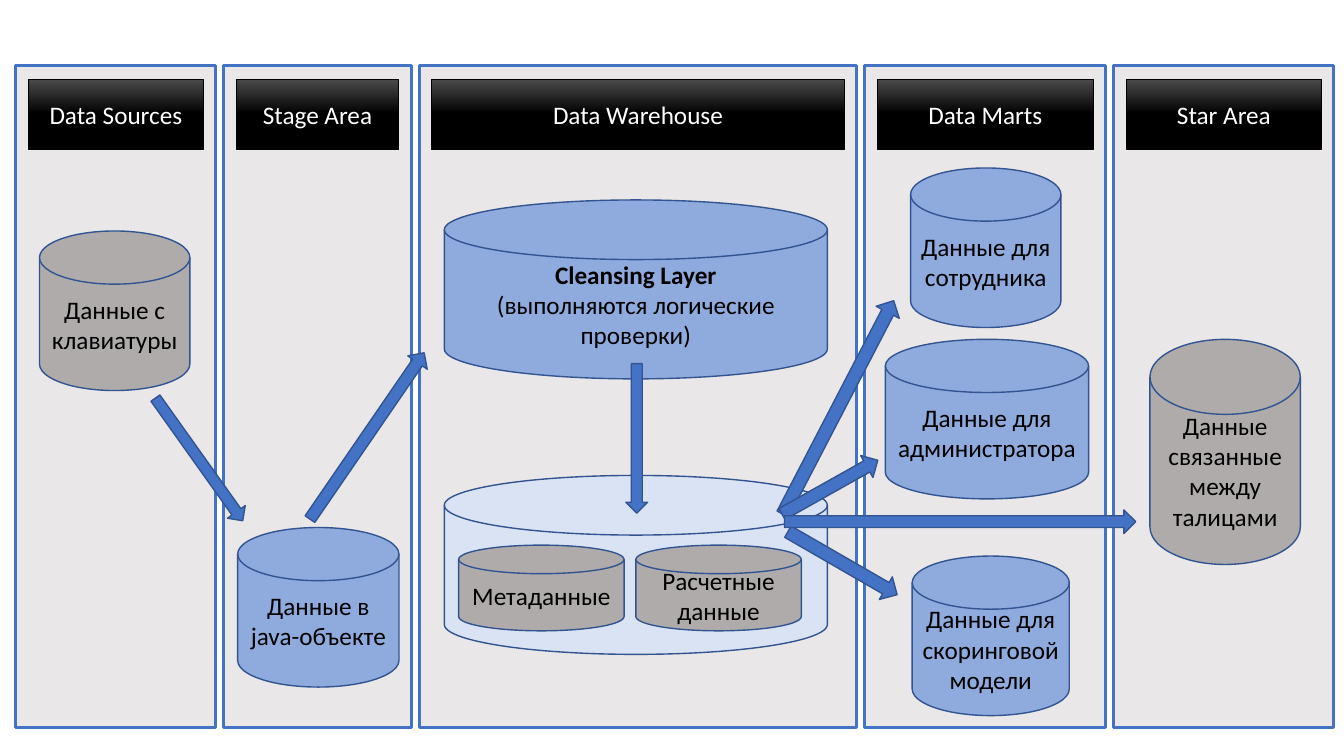
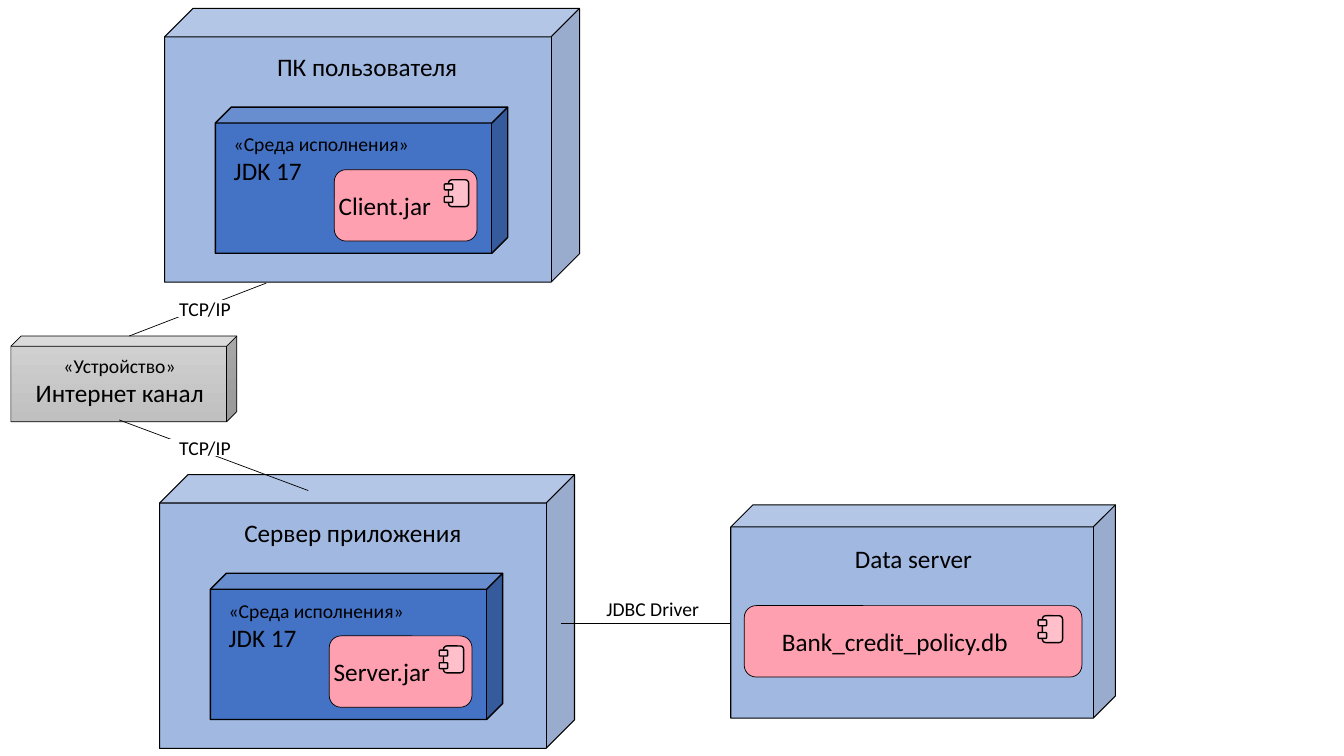
from dataclasses import dataclass
from math import atan2, degrees, hypot
from typing import NamedTuple, Optional

from lxml import etree
from pptx import Presentation
from pptx.dml.color import RGBColor
from pptx.enum.shapes import MSO_CONNECTOR, MSO_SHAPE as Shape
from pptx.enum.text import MSO_ANCHOR as Anchor, PP_ALIGN as Align
from pptx.oxml.ns import qn
from pptx.util import Emu, Pt

# The slide is a grid of 160 columns by 90 rows of square cells.
COLUMNS, ROWS = 160, 90
CELL = 76200
FONT, BODY, SMALL = "Calibri", 18, 14
BLACK, WHITE = "000000", "FFFFFF"
BLUE, BLUE_EDGE = "4472C4", "325491"
DISK_BLUE, DISK_PALE, DISK_GREY = "8FAADC", "DAE3F3", "AFABAB"
PANEL = "E9E7E7"
PINK, PINK_LIGHT = "FEA0B0", "FFC0CB"


class Box(NamedTuple):
    """Left, top, width and height in grid cells."""
    left: float
    top: float
    width: float
    height: float


class Point(NamedTuple):
    """A position in grid cells."""
    x: float
    y: float


@dataclass
class Stage:
    """A column of the data flow."""
    title: str
    width: float


@dataclass
class Store:
    """A cylinder of data."""
    box: Box
    color: str
    text: str = ""
    bold_first: bool = False


@dataclass
class Flow:
    """A block arrow between two points."""
    start: Point
    end: Point
    thickness: float


@dataclass
class Artifact:
    """A deployed file with its component icon."""
    name: str
    box: Box
    label_shift: float
    icon_from_right: float


@dataclass
class Node:
    """A deployment node with its title and artifact."""
    title: str
    box: Box
    title_at: Point
    artifact: Artifact
    environment: Optional[Box] = None


@dataclass
class Link:
    """A line between nodes with the protocol over it."""
    start: Point
    end: Point
    protocol: str
    label: Box


def color(value: str) -> RGBColor:
    """Turn a hex string into a colour."""
    return RGBColor.from_string(value)


def cells(*values: float) -> list[Emu]:
    """Convert grid cells to lengths."""
    return [Emu(round(value * CELL)) for value in values]


def write(shape, text: str, ink: str = BLACK, sizes: tuple = (BODY,),
          align=Align.CENTER, bold_first: bool = False) -> None:
    """Set the text; the last size holds for all further runs."""
    frame = shape.text_frame
    frame.word_wrap = True
    frame.text = text
    runs = []
    for paragraph in frame.paragraphs:
        paragraph.alignment = align
        runs.extend(paragraph.runs)
    for index, run in enumerate(runs):
        run.font.name = FONT
        run.font.size = Pt(sizes[min(index, len(sizes) - 1)])
        run.font.bold = bold_first and index == 0
        run.font.color.rgb = color(ink)


def draw(slide, kind, box: Box, fill: str, edge: str, weight: float):
    """Add a filled, outlined shape without a shadow."""
    shape = slide.shapes.add_shape(kind, *cells(*box))
    shape.shadow.inherit = False
    shape.fill.solid()
    shape.fill.fore_color.rgb = color(fill)
    shape.line.color.rgb = color(edge)
    shape.line.width = Pt(weight)
    shape.text_frame.vertical_anchor = Anchor.MIDDLE
    return shape


def shade(shape, top: str, bottom: str, reach: float) -> None:
    """Fill from top to bottom, ending at a share of the height."""
    shape.fill.gradient()
    shape.fill.gradient_angle = 270
    for stop, tone, position in zip(shape.fill.gradient_stops, (top, bottom), (0, reach)):
        stop.color.rgb = color(tone)
        stop.position = position


def add_label(slide, box: Box, text: str, sizes: tuple = (BODY,), align=Align.LEFT) -> None:
    """Add free text."""
    write(slide.shapes.add_textbox(*cells(*box)), text, sizes=sizes, align=align)


def add_stages(slide, stages: list[Stage]) -> None:
    """Lay the stages side by side with equal gaps."""
    left, gap, inset = 1.9, 0.95, 1.5
    for stage in stages:
        draw(slide, Shape.RECTANGLE, Box(left, 7.8, stage.width, 78.8), PANEL, BLUE, 2.25)
        header = draw(slide, Shape.RECTANGLE,
                      Box(left + inset, 9.4, stage.width - 2 * inset, 8.4), BLACK, BLACK, 0.5)
        shade(header, "4B4B4B", BLACK, 0.5)
        write(header, stage.title, WHITE)
        left += stage.width + gap


def add_store(slide, store: Store) -> None:
    """Draw a cylinder with its text."""
    disk = draw(slide, Shape.FLOWCHART_MAGNETIC_DISK, store.box, store.color, BLUE_EDGE, 1)
    if store.text:
        write(disk, store.text, bold_first=store.bold_first)


def add_flow(slide, flow: Flow) -> None:
    """Draw a block arrow turned from its start to its end."""
    dx, dy = flow.end.x - flow.start.x, flow.end.y - flow.start.y
    length = hypot(dx, dy)
    box = Box((flow.start.x + flow.end.x - length) / 2,
              (flow.start.y + flow.end.y - flow.thickness) / 2, length, flow.thickness)
    arrow = draw(slide, Shape.RIGHT_ARROW, box, BLUE, BLUE_EDGE, 1)
    arrow.rotation = degrees(atan2(dy, dx))


def add_cube(slide, box: Box, fill: str, weight: float, depth: float):
    """Draw a cube of the given relative depth."""
    cube = draw(slide, Shape.CUBE, box, fill, BLACK, weight)
    cube.adjustments[0] = depth
    return cube


def add_artifact(slide, artifact: Artifact) -> None:
    """Draw an artifact, its name and the component icon."""
    box = artifact.box
    draw(slide, Shape.ROUNDED_RECTANGLE, box, PINK, BLACK, 0.5)
    add_label(slide, Box(box.left + artifact.label_shift, box.top + 1.85,
                         box.width - artifact.label_shift, 4.8), artifact.name)
    x, y = box.left + box.width - artifact.icon_from_right, box.top + 1.2
    icon = [Box(x, y, 2.4, 3.2), Box(x - 0.5, y + 0.5, 1, 0.7), Box(x - 0.5, y + 2, 1, 0.7)]
    for part in icon:
        draw(slide, Shape.ROUNDED_RECTANGLE, part, PINK_LIGHT, BLACK, 1)


def add_node(slide, node: Node) -> None:
    """Draw a half-transparent node and what it holds."""
    cube = add_cube(slide, node.box, BLUE, 0.75, 0.104)
    tone = cube.fill._xPr.find(qn("a:solidFill"))[0]
    etree.SubElement(tone, qn("a:alpha")).set("val", "50000")
    add_label(slide, Box(*node.title_at, 32, 4.8), node.title)
    inner = node.environment
    if inner:
        add_cube(slide, inner, BLUE, 1, 0.109)
        add_label(slide, Box(inner.left + 1, inner.top + 2.4, 31.2, 8.5),
                  "«Среда исполнения»\vJDK 17", (SMALL, BODY))
    add_artifact(slide, node.artifact)


def jdk_node(title: str, left: float, top: float, title_shift: float, jar: str) -> Node:
    """Describe a node that runs a jar on the JDK."""
    return Node(title, Box(left, top, 49.4, 32.6), Point(left + title_shift, top + 4.5),
                Artifact(jar, Box(left + 20.2, top + 19.2, 17, 8.5), -0.65, 3.4),
                Box(left + 6.05, top + 11.75, 34.8, 17.4))


def add_link(slide, link: Link) -> None:
    """Draw a line with its protocol on a white plate."""
    line = slide.shapes.add_connector(MSO_CONNECTOR.STRAIGHT, *cells(*link.start, *link.end))
    line.line.color.rgb = color(BLACK)
    line.line.width = Pt(0.5)
    etree.SubElement(line._element.spPr, qn("a:effectLst"))
    plate = draw(slide, Shape.RECTANGLE, link.label, WHITE, WHITE, 1)
    write(plate, link.protocol, sizes=(SMALL,))


def build_data_flow(slide) -> None:
    """Draw the stages from data sources to the star area."""
    add_stages(slide, [Stage("Data Sources", 23.8), Stage("Stage Area", 22.3),
                       Stage("Data Warehouse", 52.1), Stage("Data Marts", 28.7),
                       Stage("Star Area", 26.2)])
    stores = [
        Store(Box(4.7, 27.5, 17.9, 19), DISK_GREY, "Данные с клавиатуры"),
        Store(Box(28.3, 62.8, 19.2, 19), DISK_BLUE, "Данные в java-объекте"),
        Store(Box(52.9, 23.8, 45.6, 21.3), DISK_BLUE,
              "Cleansing Layer\n(выполняются логические проверки)", True),
        Store(Box(52.9, 56.6, 45.6, 21.3), DISK_PALE),
        Store(Box(54.6, 64.9, 19.7, 10.2), DISK_GREY, "Метаданные"),
        Store(Box(75.7, 64.9, 19.7, 10.2), DISK_GREY, "Расчетные данные"),
        Store(Box(108.4, 20, 17.9, 19), DISK_BLUE, "Данные для сотрудника"),
        Store(Box(105.4, 40.4, 24.2, 19), DISK_BLUE, "Данные для администратора"),
        Store(Box(108.6, 66.2, 18.7, 19), DISK_BLUE, "Данные для скоринговой модели"),
        Store(Box(136.9, 40.4, 17.9, 26.8), DISK_GREY, "Данные связанные между талицами"),
    ]
    for store in stores:
        add_store(slide, store)
    flows = [
        Flow(Point(18.5, 47.4), Point(28.9, 62), 2.6),
        Flow(Point(36.9, 61.8), Point(50.5, 42), 2.8),
        Flow(Point(75.8, 43.3), Point(75.8, 61.1), 2.6),
        Flow(Point(93.2, 61.2), Point(106.4, 35.8), 3.1),
        Flow(Point(93.1, 61.2), Point(104.5, 54.8), 3),
        Flow(Point(93.8, 63.3), Point(106.8, 70.8), 3.1),
        Flow(Point(93.4, 62.1), Point(135.2, 62.1), 2.8),
    ]
    for flow in flows:
        add_flow(slide, flow)


def build_deployment(slide) -> None:
    """Draw the client, the application server and the database."""
    nodes = [
        jdk_node("ПК пользователя", 19.6, 1, 12.2, "Client.jar"),
        jdk_node("Сервер приложения", 19, 56.5, 8.9, "Server.jar"),
        Node("Data server", Box(87, 60.1, 45.8, 25.4), Point(100.6, 64.1),
             Artifact("Bank_credit_policy.db", Box(88.6, 72.1, 40.2, 8.5), 3.3, 4.7)),
    ]
    for node in nodes:
        add_node(slide, node)
    channel = add_cube(slide, Box(1.3, 40, 26.9, 10.2), "C8C8C8", 0.5, 0.119)
    shade(channel, "D2D2D2", "C0C0C0", 1)
    add_label(slide, Box(2.5, 41.5, 23.5, 6.2), "«Устройство»\nИнтернет канал",
              (SMALL, BODY), Align.CENTER)
    links = [
        Link(Point(31.7, 33.7), Point(15.4, 40), "TCP/IP", Box(19.6, 35.8, 9.6, 1.8)),
        Link(Point(36.7, 58.4), Point(14.2, 50), "TCP/IP", Box(19.6, 52.3, 9.6, 1.9)),
        Link(Point(66.8, 74.2), Point(87, 74.2), "JDBC Driver", Box(69.7, 71.5, 16, 1.9)),
    ]
    for link in links:
        add_link(slide, link)


def main() -> None:
    """Build and save the presentation."""
    deck = Presentation()
    deck.slide_width, deck.slide_height = cells(COLUMNS, ROWS)
    blank = deck.slide_layouts[6]
    for build in (build_data_flow, build_deployment):
        build(deck.slides.add_slide(blank))
    deck.save("out.pptx")


main()
